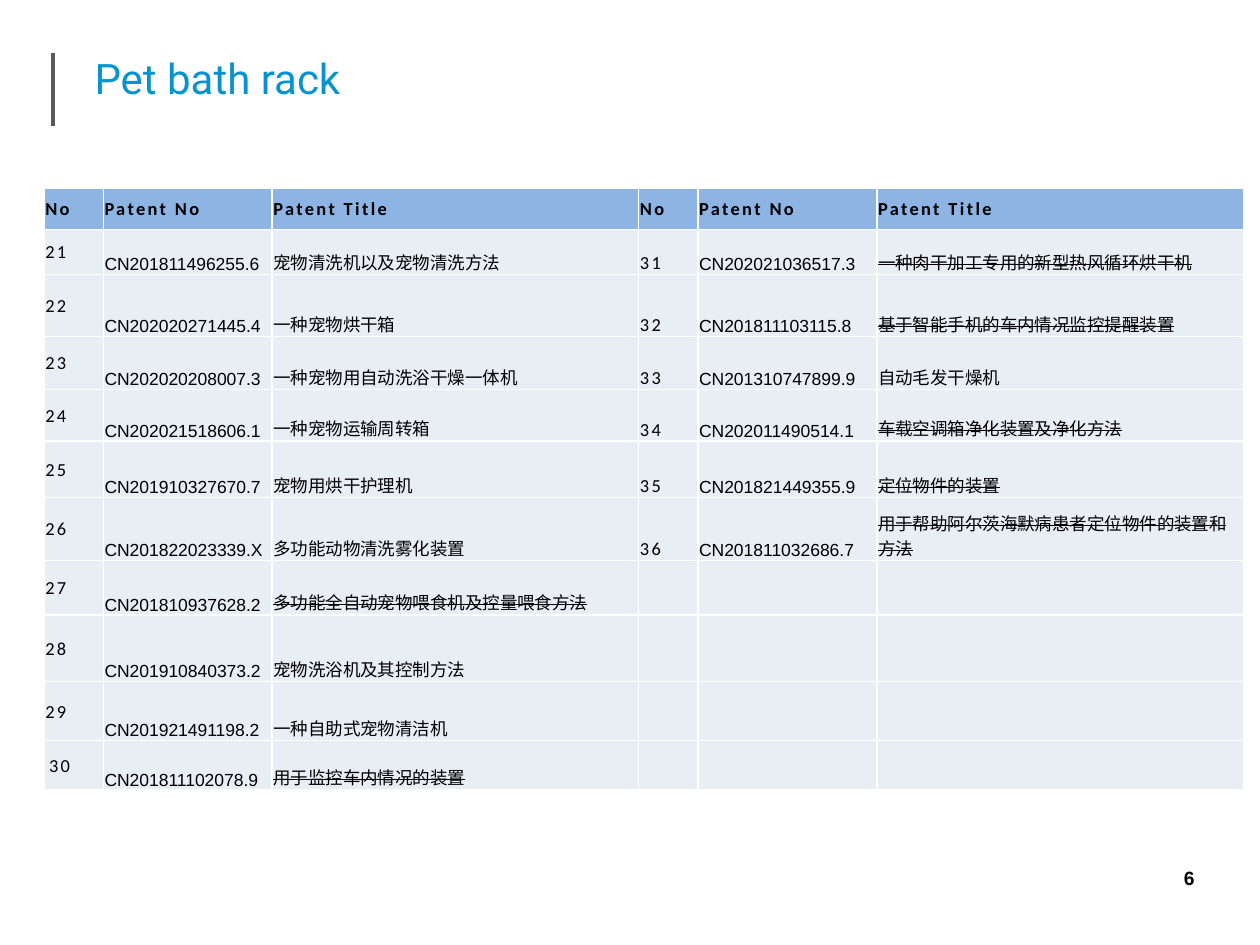
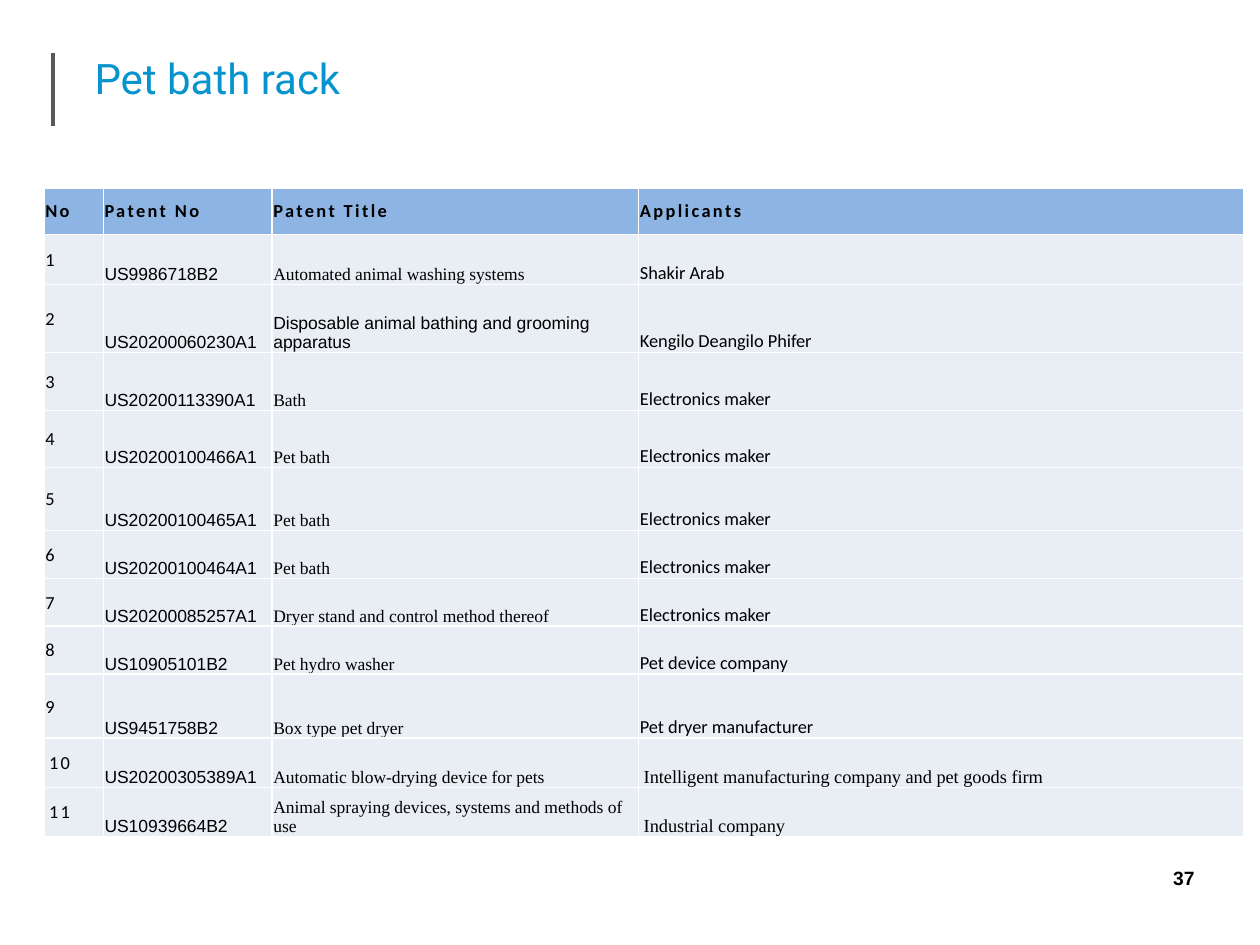
from itertools import zip_longest

from lxml import etree
from pptx import Presentation
from pptx.dml.color import RGBColor
from pptx.enum import shapes, text
from pptx.oxml.ns import qn
from pptx.util import Inches, Pt

# Content: (patent number, title, struck out)
FIRST_CN_NO = 21
CN_LEFT = [
    ("CN201811496255.6", "宠物清洗机以及宠物清洗方法", False),
    ("CN202020271445.4", "一种宠物烘干箱", False),
    ("CN202020208007.3", "一种宠物用自动洗浴干燥一体机", False),
    ("CN202021518606.1", "一种宠物运输周转箱", False),
    ("CN201910327670.7", "宠物用烘干护理机", False),
    ("CN201822023339.X", "多功能动物清洗雾化装置", False),
    ("CN201810937628.2", "多功能全自动宠物喂食机及控量喂食方法", True),
    ("CN201910840373.2", "宠物洗浴机及其控制方法", False),
    ("CN201921491198.2", "一种自助式宠物清洁机", False),
    ("CN201811102078.9", "用于监控车内情况的装置", True),
]
CN_RIGHT = [
    ("CN202021036517.3", "一种肉干加工专用的新型热风循环烘干机", True),
    ("CN201811103115.8", "基于智能手机的车内情况监控提醒装置", True),
    ("CN201310747899.9", "自动毛发干燥机", False),
    ("CN202011490514.1", "车载空调箱净化装置及净化方法", True),
    ("CN201821449355.9", "定位物件的装置", True),
    ("CN201811032686.7", "用于帮助阿尔茨海默病患者定位物件的装置和方法", True),
]
# Content: (patent number, title, applicant)
US_PATENTS = [
    ("US9986718B2", "Automated animal washing systems", "Shakir Arab"),
    ("US20200060230A1", "Disposable animal bathing and grooming apparatus",
     "Kengilo Deangilo Phifer"),
    ("US20200113390A1", "Bath", "Electronics maker"),
    ("US20200100466A1", "Pet bath", "Electronics maker"),
    ("US20200100465A1", "Pet bath", "Electronics maker"),
    ("US20200100464A1", "Pet bath", "Electronics maker"),
    ("US20200085257A1", "Dryer stand and control method thereof", "Electronics maker"),
    ("US10905101B2", "Pet hydro washer", "Pet device company"),
    ("US9451758B2", "Box type pet dryer", "Pet dryer manufacturer"),
    ("US20200305389A1", "Automatic blow-drying device for pets",
     "Intelligent manufacturing company and pet goods firm"),
    ("US10939664B2", "Animal spraying devices, systems and methods of use",
     "Industrial company"),
]
TITLE = "Pet bath rack"
PATENT_HEADS = ["No", "Patent No", "Patent Title"]
CN_COLS = [0.47, 1.34, 2.91, 0.47, 1.42, 2.91]
CN_ROWS = [0.33, 0.36, 0.49, 0.42, 0.41, 0.45, 0.5, 0.43, 0.53, 0.47, 0.39]
US_COLS = [0.47, 1.34, 2.91, 4.8]
US_ROWS = [0.37, 0.4, 0.54, 0.46, 0.45, 0.5, 0.38, 0.38, 0.38, 0.51, 0.39, 0.39]

# Shared look
BLACK, BLUE, GREY = "000000", "0793CD", "58585A"
HEAD_FILL, BODY_FILL, GRID = "8EB4E3", "E9EDF4", "FFFFFF"
SERIF = "Times New Roman"
MIDDLE, BOTTOM = text.MSO_ANCHOR.MIDDLE, text.MSO_ANCHOR.BOTTOM


def rgb(color):
    return RGBColor.from_string(color)


def style(frame, font, size, color=BLACK, bold=False, align=text.PP_ALIGN.LEFT):
    paragraph = frame.paragraphs[0]
    paragraph.alignment = align
    for run in paragraph.runs:
        run.font.name, run.font.size, run.font.bold = font, Pt(size), bold
        run.font.color.rgb = rgb(color)


def set_margins(box, left, top, right, bottom):
    box.margin_left, box.margin_top = Inches(left), Inches(top)
    box.margin_right, box.margin_bottom = Inches(right), Inches(bottom)


def add_page(prs, number):
    slide = prs.slides.add_slide(prs.slide_layouts[5])

    # Rule beside the title
    rule = slide.shapes.add_connector(shapes.MSO_CONNECTOR.STRAIGHT, Inches(0.42),
                                      Inches(0.42), Inches(0.42), Inches(1))
    rule.line.color.rgb, rule.line.width = rgb(GREY), Pt(2)
    etree.SubElement(rule._element.spPr, qn("a:effectLst"))

    # Title
    title = slide.shapes.title
    title.left, title.top = Inches(0.75), Inches(0.42)
    title.width, title.height = Inches(8.9), Inches(0.58)
    frame = title.text_frame
    frame.text = TITLE
    frame.auto_size = text.MSO_AUTO_SIZE.NONE
    frame.vertical_anchor = text.MSO_ANCHOR.TOP
    set_margins(frame, 0, 0, 0, 0)
    style(frame, "Roboto", 24, BLUE)

    # Page number
    page = slide.shapes.add_textbox(Inches(7.5), Inches(6.83), Inches(2.08), Inches(0.5))
    page.text_frame.word_wrap = True
    page.text_frame.text = str(number)
    style(page.text_frame, "Arial", 11, bold=True, align=text.PP_ALIGN.RIGHT)
    return slide


def add_borders(cell):
    props = cell._tc.get_or_add_tcPr()
    for place, side in enumerate(("lnL", "lnR", "lnT", "lnB")):
        line = etree.Element(qn(f"a:{side}"), w=str(Pt(1)))
        fill = etree.SubElement(line, qn("a:solidFill"))
        etree.SubElement(fill, qn("a:srgbClr"), val=GRID)
        props.insert(place, line)


def fill_cell(cell, words, font="Arial", size=10, anchor=BOTTOM, fill=BODY_FILL,
              bold=False, spaced=False, struck=False, left=0.01):
    cell.fill.solid()
    cell.fill.fore_color.rgb = rgb(fill)
    add_borders(cell)
    cell.vertical_anchor = anchor
    set_margins(cell, left, 0.01, 0.01, 0)
    if not words:
        return
    cell.text_frame.text = words
    style(cell.text_frame, font, size, bold=bold)
    props = cell.text_frame.paragraphs[0].runs[0]._r.get_or_add_rPr()
    if spaced:
        props.set("spc", "140")
    if struck:
        props.set("strike", "sngStrike")


def add_patents(slide, heads, rows, widths, heights):
    """Each body cell is a dict of fill_cell options."""
    table = slide.shapes.add_table(len(heights), len(widths), Inches(0.35), Inches(1.49),
                                   Inches(sum(widths)), Inches(sum(heights))).table
    for column, width in zip(table.columns, widths):
        column.width = Inches(width)
    for row, height in zip(table.rows, heights):
        row.height = Inches(height)
    header = [dict(words=head, font="Calibri", size=10.5, anchor=MIDDLE, fill=HEAD_FILL,
                   bold=True, spaced=True) for head in heads]
    for r, row in enumerate([header] + rows):
        for c, options in enumerate(row):
            fill_cell(table.cell(r, c), **options)


def number_cell(number, anchor=MIDDLE, left=0.01, spaced=True):
    return dict(words=str(number), font="Calibri", size=10.5, anchor=anchor,
                spaced=spaced, left=left)


def cn_cells(number, patent, **number_options):
    if patent is None:
        return [dict(words="")] * 3
    code, name, struck = patent
    return [number_cell(number, **number_options), dict(words=code),
            dict(words=name, struck=struck)]


def cn_rows():
    count = len(CN_LEFT)
    rows = []
    for i, (left, right) in enumerate(zip_longest(CN_LEFT, CN_RIGHT)):
        number = FIRST_CN_NO + i
        indent = 0.04 if i == count - 1 else 0.01
        rows.append(cn_cells(number, left, left=indent)
                    + cn_cells(number + count, right, anchor=BOTTOM))
    return rows


def us_rows():
    rows = []
    for number, (code, name, applicant) in enumerate(US_PATENTS, 1):
        late = number >= 10  # the last rows are indented, with serif applicants
        indent = 0.04 if late else 0.01
        rows.append([
            number_cell(number, left=indent),
            dict(words=code),
            dict(words=name, font="Arial" if number == 2 else SERIF),
            dict(words=applicant, font=SERIF if late else "Calibri", size=10.5, left=indent),
        ])
    return rows


def main():
    prs = Presentation()
    prs.slide_width, prs.slide_height = Inches(10), Inches(7.5)
    add_patents(add_page(prs, 6), PATENT_HEADS * 2, cn_rows(), CN_COLS, CN_ROWS)
    add_patents(add_page(prs, 37), PATENT_HEADS + ["Applicants"], us_rows(), US_COLS, US_ROWS)
    prs.save("out.pptx")


if __name__ == "__main__":
    main()
